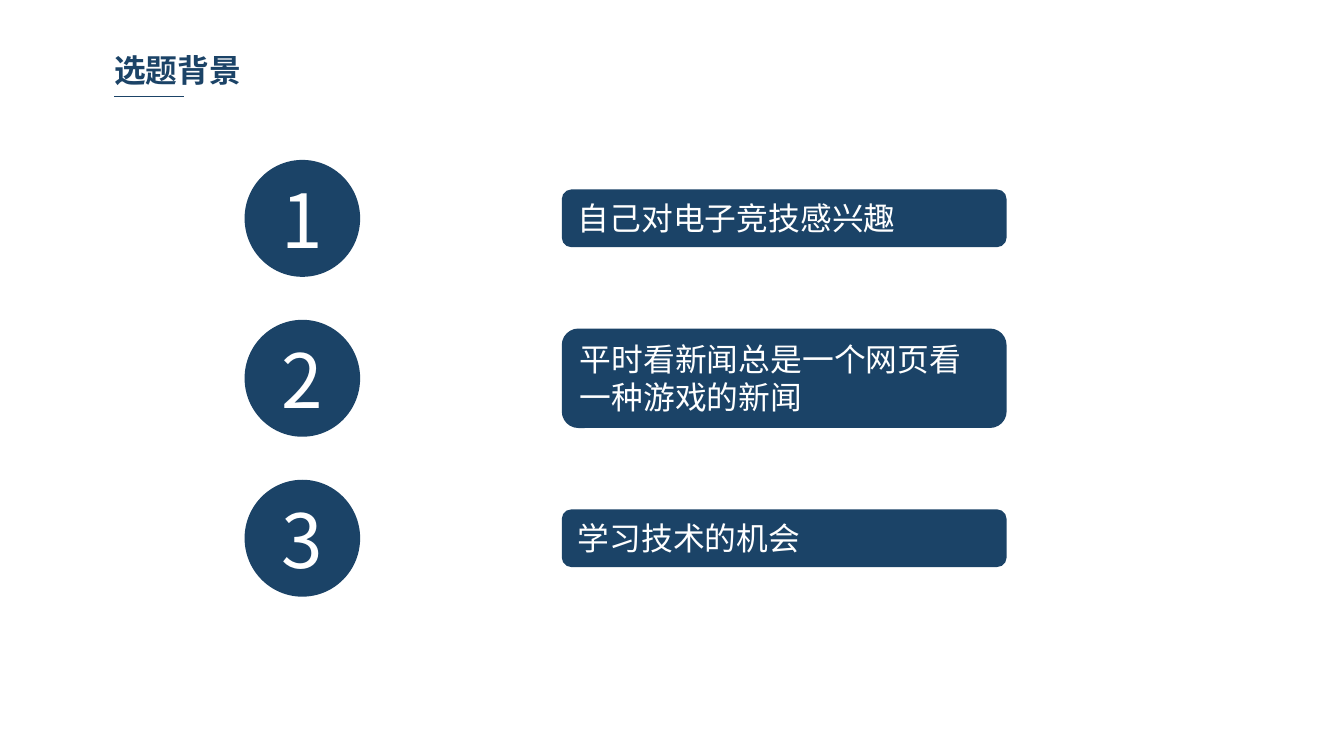
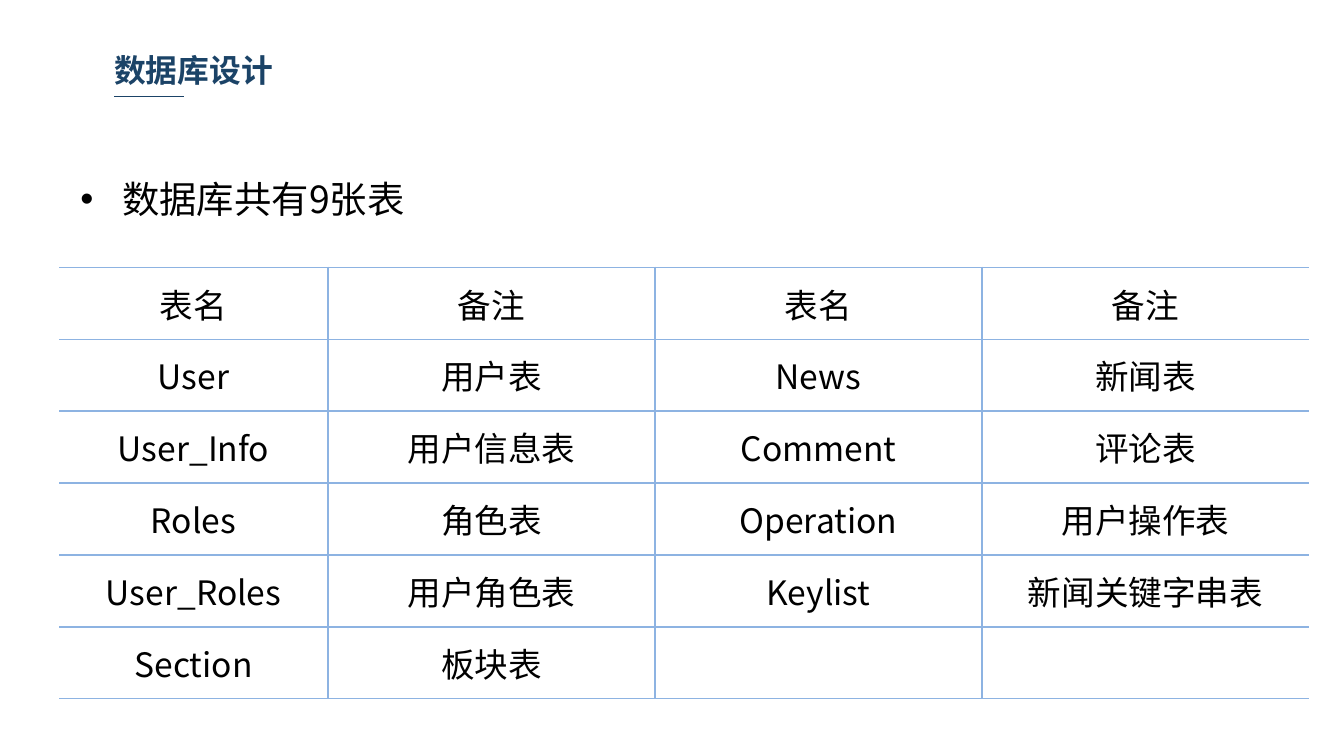
from lxml.etree import SubElement
from pptx import Presentation
from pptx.dml.color import RGBColor
from pptx.enum.shapes import MSO_CONNECTOR, MSO_SHAPE
from pptx.enum.text import MSO_ANCHOR, MSO_AUTO_SIZE, PP_ALIGN
from pptx.oxml import parse_xml
from pptx.oxml.ns import nsdecls, qn
from pptx.util import Inches, Pt

COLORS = {"navy": "1B4367", "white": "FFFFFF", "black": "000000", "grid": "8DB3E2"}
CJK_FONT = "Noto Sans CJK SC"
LATIN_FONT = "Calibri"

REASONS_TITLE = "选题背景"
REASONS = [  # text, bar height
    ("自己对电子竞技感兴趣", 0.43),
    ("平时看新闻总是一个网页看一种游戏的新闻", 0.74),
    ("学习技术的机会", 0.43),
]

DATABASE_TITLE = "数据库设计"
DATABASE_SUMMARY = "数据库共有9张表"
DATABASE_TABLES = [
    ("表名", "备注", "表名", "备注"),
    ("User", "用户表", "News", "新闻表"),
    ("User_Info", "用户信息表", "Comment", "评论表"),
    ("Roles", "角色表", "Operation", "用户操作表"),
    ("User_Roles", "用户角色表", "Keylist", "新闻关键字串表"),
    ("Section", "板块表", "", ""),
]
TABLE_WIDTH, TABLE_HEIGHT = 9.3, 3.21
FIRST_COLUMN_WIDTH = 2

CIRCLE_LEFT, CIRCLE_WIDTH, CIRCLE_HEIGHT = 1.82, 0.86, 0.87
BAR_LEFT, BAR_WIDTH = 4.18, 3.31
FIRST_CIRCLE_TOP, REASON_PITCH = 1.19, 1.19


def color(name):
    return RGBColor.from_string(COLORS[name])


def write(text_frame, text, size, color_name, align=PP_ALIGN.LEFT, bold=False, font=CJK_FONT):
    text_frame.text = text
    paragraph = text_frame.paragraphs[0]
    paragraph.alignment = align
    for run in paragraph.runs:
        run.font.size = Pt(size)
        run.font.bold = bold
        run.font.color.rgb = color(color_name)
        run.font.name = font
        SubElement(run.font._element, qn("a:ea"), typeface=CJK_FONT)
    return paragraph


def add_text(slide, left, top, width, height, text, size, color_name, bold=False):
    text_box = slide.shapes.add_textbox(Inches(left), Inches(top), Inches(width), Inches(height))
    text_box.text_frame.word_wrap = True
    text_box.text_frame.auto_size = MSO_AUTO_SIZE.SHAPE_TO_FIT_TEXT
    paragraph = write(text_box.text_frame, text, size, color_name, bold=bold)
    return text_box.text_frame, paragraph


def add_titled_slide(presentation, title):
    slide = presentation.slides.add_slide(presentation.slide_layouts[6])
    text_frame, _ = add_text(slide, 0.78, 0.34, 2.47, 0.36, title, 17, "navy", bold=True)
    text_frame.margin_left = text_frame.margin_right = Inches(0.07)
    text_frame.margin_top = text_frame.margin_bottom = Inches(0.04)
    underline = slide.shapes.add_connector(
        MSO_CONNECTOR.STRAIGHT, Inches(0.85), Inches(0.72), Inches(1.37), Inches(0.72))
    underline.line.color.rgb = color("navy")
    underline.line.width = Pt(0.75)
    SubElement(underline._element.spPr, qn("a:effectLst"))
    return slide


def add_navy_shape(slide, kind, left, top, width, height):
    shape = slide.shapes.add_shape(kind, Inches(left), Inches(top), Inches(width), Inches(height))
    shape.shadow.inherit = False
    shape.fill.solid()
    shape.fill.fore_color.rgb = color("navy")
    shape.line.fill.background()
    shape.text_frame.word_wrap = True
    return shape


def set_borders(cell, sides):
    """Draw grid lines on the given sides (L, R, T, B) and clear the others."""
    properties = cell._tc.get_or_add_tcPr()
    for position, side in enumerate("LRTB"):
        if side in sides:
            fill = f'<a:solidFill><a:srgbClr val="{COLORS["grid"]}"/></a:solidFill>'
        else:
            fill = "<a:noFill/>"
        border = parse_xml(f'<a:ln{side} {nsdecls("a")} w="{Pt(1)}">{fill}</a:ln{side}>')
        properties.insert(position, border)


def add_reasons_slide(presentation):
    slide = add_titled_slide(presentation, REASONS_TITLE)
    for index, (reason, bar_height) in enumerate(REASONS):
        circle_top = FIRST_CIRCLE_TOP + index * REASON_PITCH
        circle = add_navy_shape(slide, MSO_SHAPE.FLOWCHART_CONNECTOR,
                                CIRCLE_LEFT, circle_top, CIRCLE_WIDTH, CIRCLE_HEIGHT)
        circle.text_frame.vertical_anchor = MSO_ANCHOR.MIDDLE
        write(circle.text_frame, str(index + 1), 40, "white", PP_ALIGN.CENTER)

        bar_top = circle_top + (CIRCLE_HEIGHT - bar_height) / 2
        bar = add_navy_shape(slide, MSO_SHAPE.ROUNDED_RECTANGLE,
                             BAR_LEFT, bar_top, BAR_WIDTH, bar_height)
        bar.text_frame.vertical_anchor = MSO_ANCHOR.TOP
        bar.text_frame.auto_size = MSO_AUTO_SIZE.SHAPE_TO_FIT_TEXT
        write(bar.text_frame, reason, 17, "white")


def add_database_slide(presentation):
    slide = add_titled_slide(presentation, DATABASE_TITLE)
    row_count, column_count = len(DATABASE_TABLES), len(DATABASE_TABLES[0])
    table = slide.shapes.add_table(
        row_count, column_count, Inches(0.44), Inches(1.99),
        Inches(TABLE_WIDTH), Inches(TABLE_HEIGHT)).table
    table.first_row = False
    table.horz_banding = False
    other_width = (TABLE_WIDTH - FIRST_COLUMN_WIDTH) / (column_count - 1)
    for index, column in enumerate(table.columns):
        column.width = Inches(other_width if index else FIRST_COLUMN_WIDTH)
    for row_index, texts in enumerate(DATABASE_TABLES):
        for column_index, text in enumerate(texts):
            cell = table.cell(row_index, column_index)
            cell.fill.background()
            cell.vertical_anchor = MSO_ANCHOR.MIDDLE
            cell.margin_left = cell.margin_right = Inches(0.06)
            cell.margin_top = cell.margin_bottom = 0
            font = LATIN_FONT if column_index % 2 else CJK_FONT
            write(cell.text_frame, text, 18, "black", PP_ALIGN.CENTER, font=font)
            left = "L" if column_index > 0 else ""
            right = "R" if column_index < column_count - 1 else ""
            set_borders(cell, "TB" + left + right)

    _, summary = add_text(slide, 0.5, 1.26, 3.49, 0.44, DATABASE_SUMMARY, 20, "black")
    properties = summary._p.get_or_add_pPr()
    properties.set("marL", str(Inches(0.31)))
    properties.set("indent", str(-Inches(0.31)))
    SubElement(properties, qn("a:buFont"), typeface="Arial")
    SubElement(properties, qn("a:buChar"), char="•")


def main():
    presentation = Presentation()
    presentation.slide_width = Inches(10)
    presentation.slide_height = Inches(10) * 9 // 16
    add_reasons_slide(presentation)
    add_database_slide(presentation)
    presentation.save("out.pptx")


if __name__ == "__main__":
    main()
